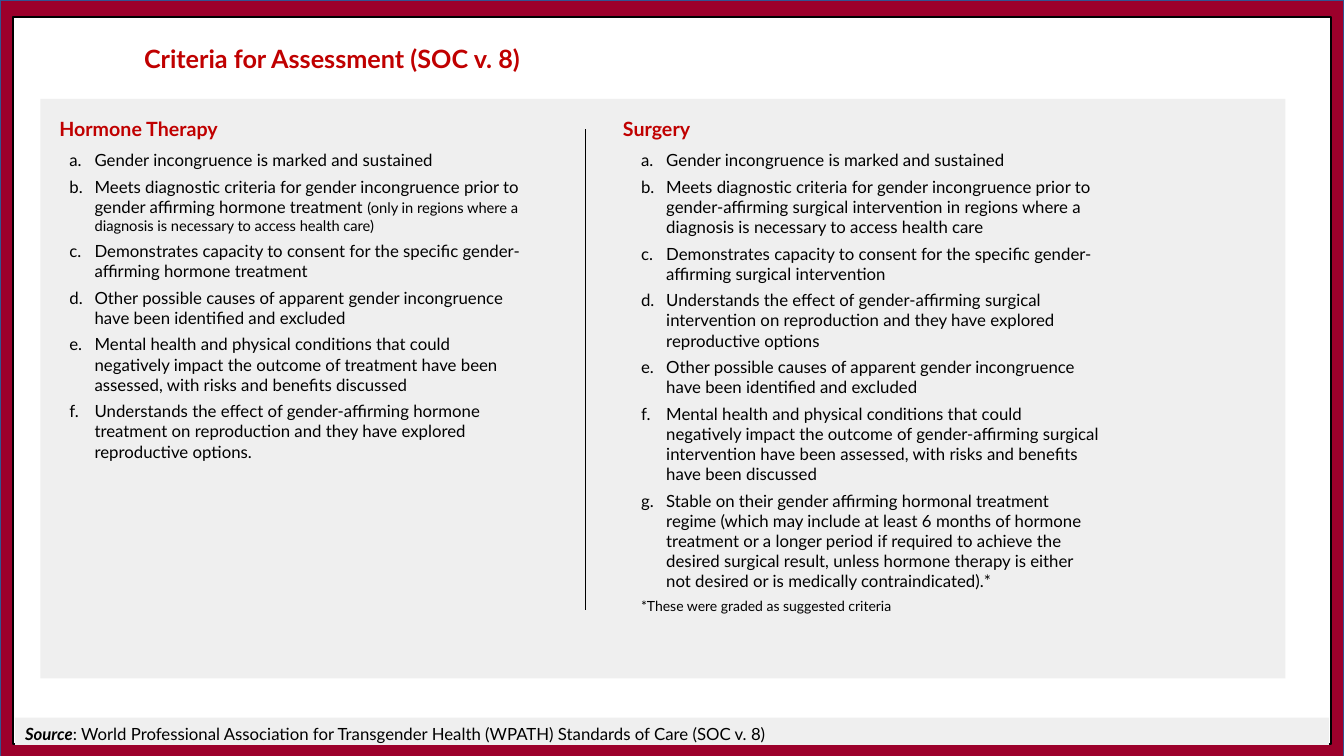
import dataclasses

import pptx
import pptx.dml.color
import pptx.enum.shapes
import pptx.enum.text
import pptx.oxml
import pptx.oxml.ns
import pptx.util

Inches = pptx.util.Inches
Pt = pptx.util.Pt


@dataclasses.dataclass(frozen=True)
class Theme:
    font: str = "Lato"
    crimson: str = "9C002B"
    red: str = "C00000"
    blue: str = "325491"
    gray: str = "EFEFEF"
    white: str = "FFFFFF"
    black: str = "000000"
    title: float = 18
    heading: float = 14
    body: float = 12
    aside: float = 10.5
    footnote: float = 10
    gap: float = 4.5
    line: float = 1


def color(value):
    return pptx.dml.color.RGBColor.from_string(value)


class SlideBuilder:
    def __init__(self, page, theme):
        self.page = page
        self.theme = theme

    def panel(self, left, top, width, height, fill, line=None):
        shape = self.page.shapes.add_shape(
            pptx.enum.shapes.MSO_SHAPE.RECTANGLE,
            Inches(left), Inches(top), Inches(width), Inches(height))
        shape.shadow.inherit = False
        shape.fill.solid()
        shape.fill.fore_color.rgb = color(fill)
        if line:
            shape.line.color.rgb = color(line)
            shape.line.width = Pt(self.theme.line)
        else:
            shape.line.fill.background()

    def divider(self, x, top, bottom):
        line = self.page.shapes.add_connector(
            pptx.enum.shapes.MSO_CONNECTOR.STRAIGHT,
            Inches(x), Inches(top), Inches(x), Inches(bottom))
        line.line.color.rgb = color(self.theme.black)
        line.line.width = Pt(self.theme.line)
        properties = line._element.spPr
        properties.append(pptx.oxml.parse_xml(
            "<a:effectLst %s/>" % pptx.oxml.ns.nsdecls("a")))

    def text_frame(self, left, top, width, height):
        box = self.page.shapes.add_textbox(
            Inches(left), Inches(top), Inches(width), Inches(height))
        frame = box.text_frame
        frame.word_wrap = True
        frame.auto_size = pptx.enum.text.MSO_AUTO_SIZE.NONE
        return frame

    def span(self, para, text, ink=None, **formats):
        span = para.add_run()
        span.text = text
        span.font.color.rgb = color(ink or self.theme.black)
        values = {"name": self.theme.font, "size": self.theme.body, **formats}
        values["size"] = Pt(values["size"])
        for name, value in values.items():
            setattr(span.font, name, value)

    def text(self, left, top, width, height, *spans):
        para = self.text_frame(left, top, width, height).paragraphs[0]
        for words, formats in spans:
            self.span(para, words, **formats)

    def lettered_list(self, left, top, width, height, items, footnote=None):
        frame = self.text_frame(left, top, width, height)
        para = frame.paragraphs[0]
        for index, (words, *aside) in enumerate(items):
            if index:
                para = frame.add_paragraph()
            para.space_after = Pt(self.theme.gap)
            properties = para._p.get_or_add_pPr()
            properties.set("marL", str(Inches(0.25)))
            properties.set("indent", str(Inches(-0.25)))
            properties.append(pptx.oxml.parse_xml(
                '<a:buAutoNum %s type="alphaLcPeriod"/>' % pptx.oxml.ns.nsdecls("a")))
            self.span(para, words)
            for note in aside:
                self.span(para, note, size=self.theme.aside)
        if footnote:
            para = frame.add_paragraph()
            para.space_after = Pt(self.theme.gap)
            self.span(para, footnote, size=self.theme.footnote)


HORMONE_CRITERIA = [
    ("Gender incongruence is marked and sustained",),
    ("Meets diagnostic criteria for gender incongruence prior to gender affirming "
     "hormone treatment ",
     "(only in regions where a diagnosis is necessary to access health care)"),
    ("Demonstrates capacity to consent for the specific gender-affirming hormone "
     "treatment",),
    ("Other possible causes of apparent gender incongruence have been identified "
     "and excluded",),
    ("Mental health and physical conditions that could negatively impact the outcome "
     "of treatment have been assessed, with risks and benefits discussed",),
    ("Understands the effect of gender-affirming hormone treatment on reproduction "
     "and they have explored reproductive options.",),
]
SURGERY_CRITERIA = [
    ("Gender incongruence is marked and sustained",),
    ("Meets diagnostic criteria for gender incongruence prior to gender-affirming "
     "surgical intervention in regions where a diagnosis is necessary to access "
     "health care",),
    ("Demonstrates capacity to consent for the specific gender-affirming surgical "
     "intervention",),
    ("Understands the effect of gender-affirming surgical intervention on "
     "reproduction and they have explored reproductive options",),
    ("Other possible causes of apparent gender incongruence have been identified "
     "and excluded",),
    ("Mental health and physical conditions that could negatively impact the outcome "
     "of gender-affirming surgical intervention have been assessed, with risks and "
     "benefits have been discussed",),
    ("Stable on their gender affirming hormonal treatment regime (which may include "
     "at least 6 months of hormone treatment or a longer period if required to "
     "achieve the desired surgical result, unless hormone therapy is either not "
     "desired or is medically contraindicated).*",),
]

theme = Theme()
deck = pptx.Presentation()
deck.slide_width = Inches(13.33)
deck.slide_height = Inches(7.5)
slide = SlideBuilder(deck.slides.add_slide(deck.slide_layouts[6]), theme)

# Frame and panels
slide.panel(0, 0, 13.33, 7.52, theme.crimson, theme.blue)
slide.panel(0.13, 0.17, 13.07, 7.21, theme.white, theme.black)
slide.panel(0.15, 7.12, 13.03, 0.27, theme.gray)
slide.panel(0.4, 0.98, 12.35, 5.75, theme.gray)

# Source line and title
slide.text(0.15, 7.13, 13.03, 0.3,
           ("Source", {"bold": True, "italic": True}),
           (": World Professional Association for Transgender Health (WPATH) "
            "Standards of Care (SOC v. 8)", {}))
slide.text(1.33, 0.38, 6.82, 0.4,
           ("Criteria for Assessment (SOC v. 8)",
            {"ink": theme.red, "size": theme.title, "bold": True}))

# Criteria columns
column_width = 4.74
columns = [
    ("Hormone Therapy", 0.49, 0.59, 1.44, 3.25, HORMONE_CRITERIA, None),
    ("Surgery", 6.08, 6.26, 1.44, 4.81, SURGERY_CRITERIA,
     "*These were graded as suggested criteria"),
]
for heading, heading_left, list_left, top, height, criteria, footnote in columns:
    slide.text(heading_left, 1.11, column_width, 0.34,
               (heading, {"ink": theme.red, "size": theme.heading, "bold": True}))
    slide.lettered_list(list_left, top, column_width, height, criteria, footnote)
slide.divider(5.81, 1.28, 6.05)

deck.save("out.pptx")
